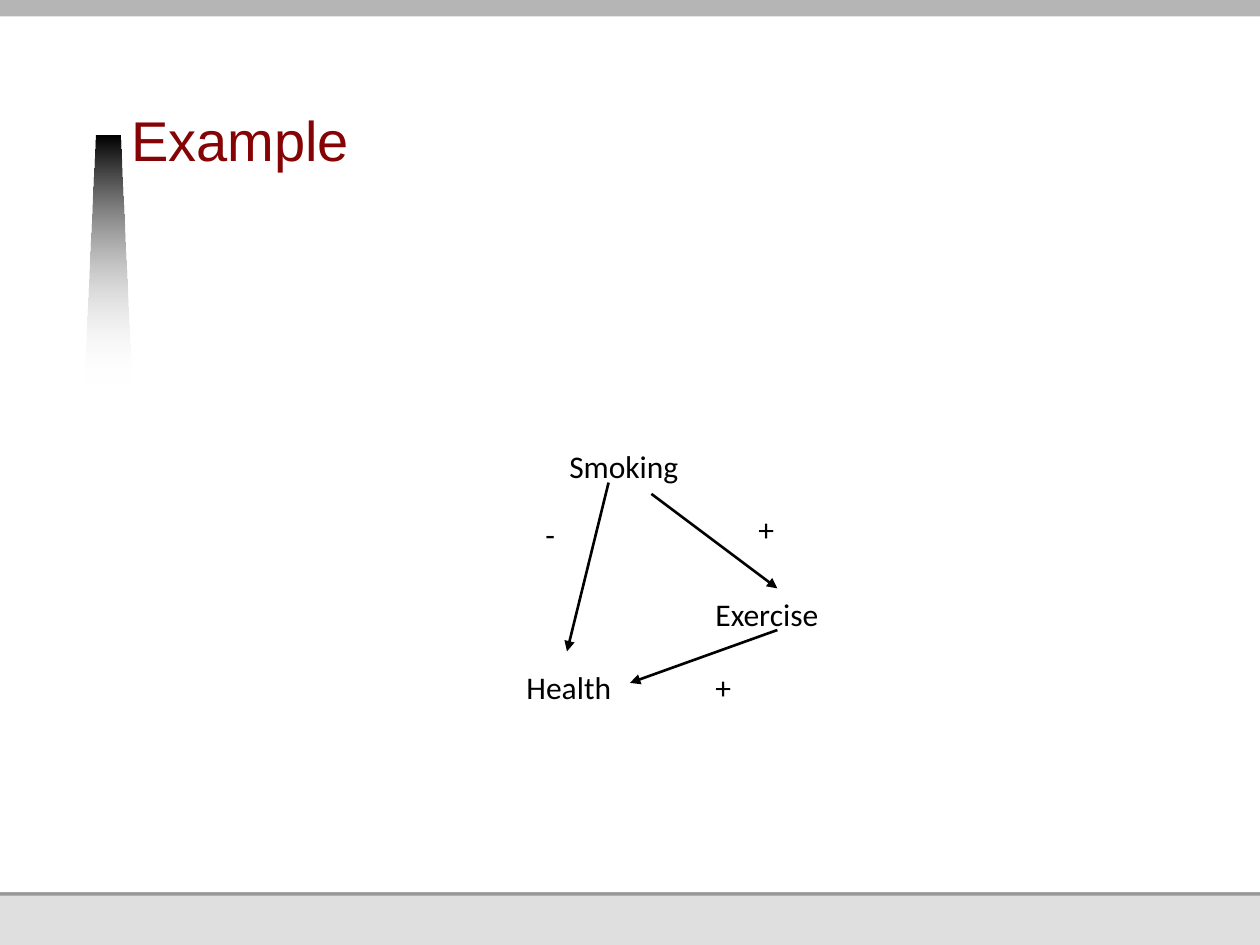
from dataclasses import dataclass

from lxml import etree
from pptx import Presentation
from pptx.dml.color import RGBColor
from pptx.enum.shapes import MSO_CONNECTOR, MSO_SHAPE
from pptx.enum.text import MSO_ANCHOR, MSO_AUTO_SIZE, PP_ALIGN
from pptx.oxml.ns import qn
from pptx.slide import Slide
from pptx.util import Inches, Pt

RECTANGLE = MSO_SHAPE.RECTANGLE
STRAIGHT = MSO_CONNECTOR.STRAIGHT
BOTTOM = MSO_ANCHOR.BOTTOM
LEFT = PP_ALIGN.LEFT
NO_AUTOFIT = MSO_AUTO_SIZE.NONE
FIT_SHAPE = MSO_AUTO_SIZE.SHAPE_TO_FIT_TEXT

COLORS = {
    "background": "FFFFFF",
    "title": "850205",
    "ink": "000000",
    "top band": "B5B5B5",
    "footer rule": "989898",
    "footer": "DFDFDF",
}
SLIDE_WIDTH, SLIDE_HEIGHT = 10, 7.5
LABEL_HEIGHT = 0.4


@dataclass
class Band:
    top: float
    bottom: float
    color: str


@dataclass
class Label:
    text: str
    left: float
    top: float
    width: float


@dataclass
class Arrow:
    start: tuple[float, float]
    end: tuple[float, float]


# Stacked from back to front: each band leaves the lower edge of the last one showing.
BANDS = [
    Band(0, SLIDE_HEIGHT, "footer"),
    Band(1.78, 7.11, "footer rule"),
    Band(0, 7.08, "background"),
    Band(0, 0.13, "top band"),
]
WEDGE_POINTS = [(0.67, 3.05), (0.76, 1.08), (0.95, 1.08), (1.04, 3.05)]
VARIABLES = [
    Label("Smoking", 4.42, 3.5, 1.17),
    Label("Exercise", 5.58, 4.67, 1.16),
    Label("Health", 4.08, 5.25, 0.92),
]
EFFECTS = [
    Arrow((4.83, 3.83), (4.5, 5.17)),
    Arrow((5.17, 3.92), (6.17, 4.67)),
    Arrow((6.17, 5), (5, 5.42)),
]
SIGNS = [
    Label("-", 4.23, 4.04, 0.28),
    Label("+", 5.92, 4, 0.35),
    Label("+", 5.58, 5.25, 0.35),
]


def rgb(name: str) -> RGBColor:
    return RGBColor.from_string(COLORS[name])


def add_run(paragraph, text: str, font_name: str, size: int, color: str) -> None:
    run = paragraph.add_run()
    run.text = text
    run.font.name = font_name
    run.font.size = Pt(size)
    run.font.color.rgb = rgb(color)


def add_band(slide: Slide, band: Band) -> None:
    shape = slide.shapes.add_shape(
        RECTANGLE, 0, Inches(band.top),
        Inches(SLIDE_WIDTH), Inches(band.bottom - band.top))
    shape.shadow.inherit = False
    shape.fill.solid()
    shape.fill.fore_color.rgb = rgb(band.color)
    shape.line.fill.background()


def add_wedge(slide: Slide) -> None:
    """Draw the tapered bar that fades out downwards beside the title."""
    start, *others = [(Inches(x), Inches(y)) for x, y in WEDGE_POINTS]
    builder = slide.shapes.build_freeform(*start)
    builder.add_line_segments(others, close=True)
    wedge = builder.convert_to_shape()
    wedge.shadow.inherit = False
    wedge.line.fill.background()
    wedge.fill.gradient()
    wedge.fill.gradient_angle = 270
    for stop, color in zip(wedge.fill.gradient_stops, ("ink", "background")):
        stop.color.rgb = rgb(color)
    last_color = list(wedge._element.spPr.iter(qn("a:srgbClr")))[-1]
    etree.SubElement(last_color, qn("a:alpha"), val="0")


def set_title(slide: Slide, text: str) -> None:
    """Fill the title placeholder and bring it in front of the bands."""
    title = slide.shapes.title
    slide.shapes._spTree.append(title._element)
    title.left, title.top = Inches(1.04), Inches(0.34)
    title.width, title.height = Inches(6.87), Inches(1.08)
    frame = title.text_frame
    frame.auto_size = NO_AUTOFIT
    frame.vertical_anchor = BOTTOM
    frame.margin_left = frame.margin_right = frame.margin_top = 0
    frame.margin_bottom = Inches(0.05)
    paragraph = frame.paragraphs[0]
    paragraph.alignment = LEFT
    paragraph.line_spacing = Pt(34)
    add_run(paragraph, text, "Arial", 32, "title")


def add_label(slide: Slide, label: Label) -> None:
    box = slide.shapes.add_textbox(
        Inches(label.left), Inches(label.top),
        Inches(label.width), Inches(LABEL_HEIGHT))
    box.text_frame.word_wrap = False
    box.text_frame.auto_size = FIT_SHAPE
    add_run(box.text_frame.paragraphs[0], label.text, "Calibri", 18, "ink")


def add_arrow(slide: Slide, arrow: Arrow) -> None:
    connector = slide.shapes.add_connector(
        STRAIGHT, *map(Inches, arrow.start + arrow.end))
    connector.line.color.rgb = rgb("ink")
    connector.line.width = Pt(1.5)
    line = connector.line._get_or_add_ln()
    etree.SubElement(line, qn("a:tailEnd"), type="triangle")
    etree.SubElement(connector._element.spPr, qn("a:effectLst"))


def main() -> None:
    presentation = Presentation()
    presentation.slide_width = Inches(SLIDE_WIDTH)
    presentation.slide_height = Inches(SLIDE_HEIGHT)
    title_only = presentation.slide_layouts[5]
    slide = presentation.slides.add_slide(title_only)
    slide.background.fill.solid()
    slide.background.fill.fore_color.rgb = rgb("background")

    for band in BANDS:
        add_band(slide, band)
    add_wedge(slide)
    set_title(slide, "Example")
    for variable in VARIABLES:
        add_label(slide, variable)
    for effect in EFFECTS:
        add_arrow(slide, effect)
    for sign in SIGNS:
        add_label(slide, sign)
    presentation.save("out.pptx")


if __name__ == "__main__":
    main()
